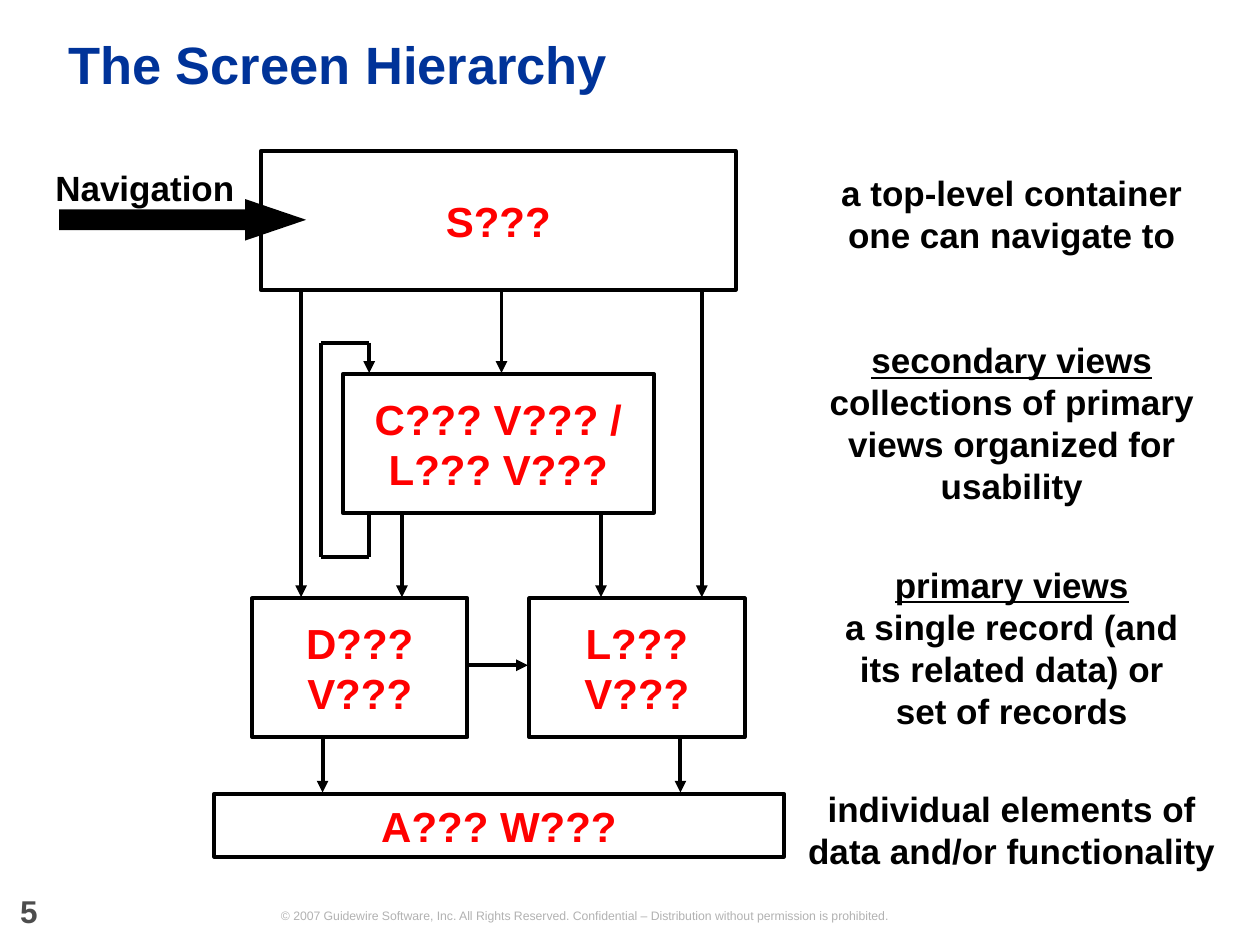
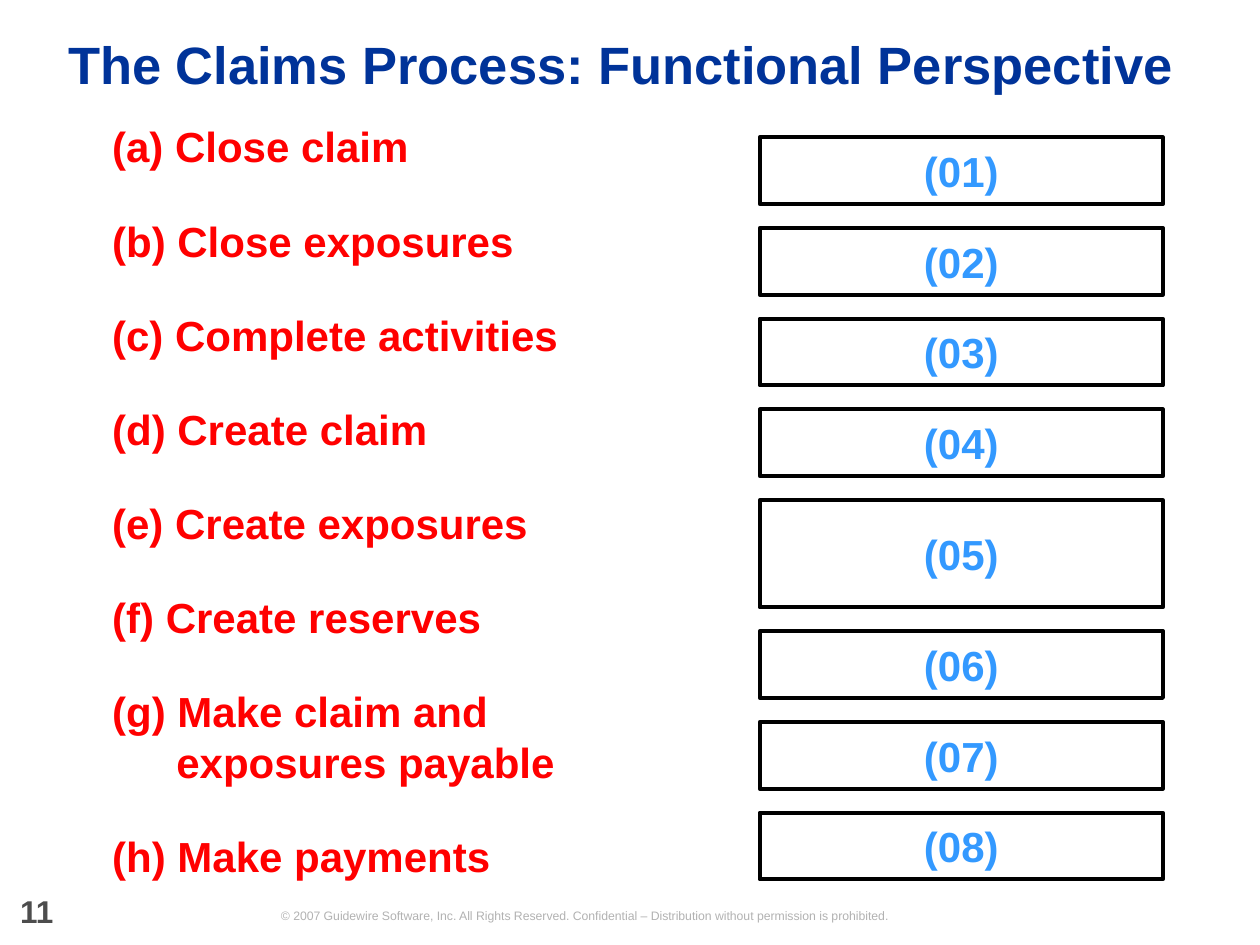
"""Build two training slides: a screen hierarchy and a claims matching exercise."""
from itertools import pairwise

from lxml import etree
from pptx import Presentation
from pptx import util as u
from pptx.dml import color
from pptx.enum import shapes, text
from pptx.oxml import ns

COLUMNS = 100
CELL = u.Inches(10) // COLUMNS
FONT = "Arial"
NAVY, RED, SKY, BLACK = "003399", "FF0000", "3399FF", "000000"
DARK_GREY, LIGHT_GREY = "4D4D4D", "B2B2B2"
LINE_WIDTH = u.Pt(2.25)
BOX_HEIGHT = 11
COPYRIGHT = ("© 2007 Guidewire Software, Inc. All Rights Reserved. "
             "Confidential – Distribution without permission is prohibited.")
CENTER, LEFT = text.PP_ALIGN.CENTER, text.PP_ALIGN.LEFT
TOP, MIDDLE = text.MSO_ANCHOR.TOP, text.MSO_ANCHOR.MIDDLE


def cells(*counts):
    """Turn grid counts into lengths."""
    return [round(count * CELL) for count in counts]


def paint(target, hex_color):
    """Give a fill, line or font colour from a hex string."""
    if hasattr(target, "solid"):
        target.solid()
        target = target.fore_color
    else:
        target = target.color
    target.rgb = color.RGBColor.from_string(hex_color)


def write(shape, paragraphs, *, size=24, hue=BLACK, bold=True, align=CENTER,
          anchor=TOP, spacing=None, gap=0, hanging=None, underline_first=False):
    """Fill a shape with formatted paragraphs, breaking lines at newlines."""
    frame = shape.text_frame
    frame.word_wrap = True
    frame.auto_size = text.MSO_AUTO_SIZE.NONE
    frame.vertical_anchor = anchor
    frame.margin_left = frame.margin_right = frame.margin_top = frame.margin_bottom = 0
    for index, content in enumerate(paragraphs):
        para = frame.add_paragraph() if index else frame.paragraphs[0]
        if hanging is not None:
            indent = cells(hanging)[0]
            properties = para._p.get_or_add_pPr()
            properties.set("marL", str(indent))
            properties.set("indent", str(-indent))
            etree.SubElement(properties, ns.qn("a:buNone"))
        para.alignment = align
        para.space_before = u.Pt(gap if index else 0)
        para.space_after = u.Pt(0)
        if spacing:
            para.line_spacing = spacing
        for number, line in enumerate(content.split("\n")):
            if number:
                para.add_line_break()
            span = para.add_run()
            span.text = line
            span.font.name, span.font.size, span.font.bold = FONT, u.Pt(size), bold
            span.font.underline = underline_first and number == 0
            paint(span.font, hue)


def add_label(page, place, content, **style):
    """Add a text box at a grid place."""
    write(page.shapes.add_textbox(*cells(*place)), [content], **style)


def add_box(page, place, content, hue):
    """Add an outlined box with centred text."""
    box = page.shapes.add_shape(shapes.MSO_SHAPE.RECTANGLE, *cells(*place))
    box.shadow.inherit = False
    box.fill.background()
    paint(box.line, BLACK)
    box.line.width = LINE_WIDTH
    write(box, [content], hue=hue, anchor=MIDDLE)


def add_route(page, *points):
    """Join points with straight lines, ending in an arrowhead."""
    for start, end in pairwise(points):
        line = page.shapes.add_connector(shapes.MSO_CONNECTOR.STRAIGHT, *cells(*start, *end))
        paint(line.line, BLACK)
        line.line.width = LINE_WIDTH
        etree.SubElement(line._element.spPr, ns.qn("a:effectLst"))
    etree.SubElement(line.line._get_or_add_ln(), ns.qn("a:tailEnd"), type="triangle")


def add_block_arrow(page, place):
    """Add a solid block arrow pointing right."""
    arrow = page.shapes.add_shape(shapes.MSO_SHAPE.RIGHT_ARROW, *cells(*place))
    arrow.adjustments[0], arrow.adjustments[1] = 0.5, 1.47
    arrow.shadow.inherit = False
    paint(arrow.fill, BLACK)
    arrow.line.fill.background()


def move(shape, place):
    """Put a placeholder at a grid place."""
    shape.left, shape.top, shape.width, shape.height = cells(*place)


def add_page(deck, layout, title, number):
    """Add a slide with its title, copyright line and page number."""
    page = deck.slides.add_slide(deck.slide_layouts.get_by_name(layout))
    move(page.shapes.title, (5.4, 1.3, 91, 8.1))
    write(page.shapes.title, [title], size=30, hue=NAVY, align=LEFT, anchor=MIDDLE, spacing=0.9)
    add_label(page, (11.9, 72.1, 69, 1.2), COPYRIGHT, size=7, hue=LIGHT_GREY,
              bold=False, anchor=MIDDLE)
    add_label(page, (1.6, 71.3, 5.7, 2.5), str(number), size=18, hue=DARK_GREY,
              align=LEFT, spacing=u.Pt(18))
    return page


def build_hierarchy(deck):
    """Build the screen hierarchy diagram with its captions."""
    page = add_page(deck, "Title Only", "The Screen Hierarchy", 5)
    screen_top, views_top, primary_top, widget_top = 12, 29.7, 47.5, 63
    screen_end, views_end, primary_end = (
        top + BOX_HEIGHT for top in (screen_top, views_top, primary_top))
    for place, name in (
        ((20.7, screen_top, 37.7, BOX_HEIGHT), "S???"),
        ((27.2, views_top, 24.7, BOX_HEIGHT), "C??? V??? /\nL??? V???"),
        ((20, primary_top, 17.1, BOX_HEIGHT), "D???\nV???"),
        ((42, primary_top, 17.1, BOX_HEIGHT), "L???\nV???"),
        ((17, widget_top, 45.2, 5), "A??? W???"),
    ):
        add_box(page, place, name, RED)

    for column, start, end in (
        (39.8, screen_end, views_top),
        (23.9, screen_end, primary_top),
        (55.7, screen_end, primary_top),
        (31.9, views_end, primary_top),
        (47.7, views_end, primary_top),
        (25.6, primary_end, widget_top),
        (54, primary_end, widget_top),
    ):
        add_route(page, (column, start), (column, end - 0.1))
    add_route(page, (37.2, 52.8), (41.9, 52.8))
    loop_left, loop_right, loop_top, loop_end = 25.5, 29.3, 27.2, 44.2
    add_route(page, (loop_right, views_end), (loop_right, loop_end), (loop_left, loop_end),
              (loop_left, loop_top), (loop_right, loop_top), (loop_right, views_top - 0.1))

    add_block_arrow(page, (4.7, 15.8, 19.6, 3.3))
    add_label(page, (3.6, 13.2, 15.8, 3.3), "Navigation", size=20)
    caption_center = 80.3
    for top, width, caption, headed in (
        (13.6, 33.6, "a top-level container\none can navigate to", False),
        (26.9, 31.9, "secondary views\ncollections of primary views organized for usability", True),
        (44.7, 27.9, "primary views\na single record (and its related data) or set of records", True),
        (62.5, 33, "individual elements of data and/or functionality", False),
    ):
        add_label(page, (caption_center - width / 2, top, width, 6.7), caption,
                  size=20, underline_first=headed)


def build_claims(deck):
    """Build the list of claim steps and the numbered boxes to match."""
    page = add_page(deck, "Title and Content",
                    "The Claims Process: Functional Perspective", 11)
    steps = ("Close claim", "Close exposures", "Complete activities", "Create claim",
             "Create exposures", "Create reserves", "Make claim and exposures payable",
             "Make payments")
    body = page.placeholders[1]
    move(body, (8.9, 9.6, 39.6, 60))
    write(body, [f"({letter}) {step}" for letter, step in zip("abcdefgh", steps)],
          hue=RED, align=LEFT, gap=25, hanging=5.1)

    top, gap = 10.9, 1.9
    for number in range(1, len(steps) + 1):
        height = 8.5 if number == 5 else 5.3
        add_box(page, (60.3, top, 32, height), f"({number:02})", SKY)
        top += height + gap


def main():
    """Build and save the deck."""
    deck = Presentation()
    deck.slide_width, deck.slide_height = cells(COLUMNS, 75)
    build_hierarchy(deck)
    build_claims(deck)
    deck.save("out.pptx")


if __name__ == "__main__":
    main()
